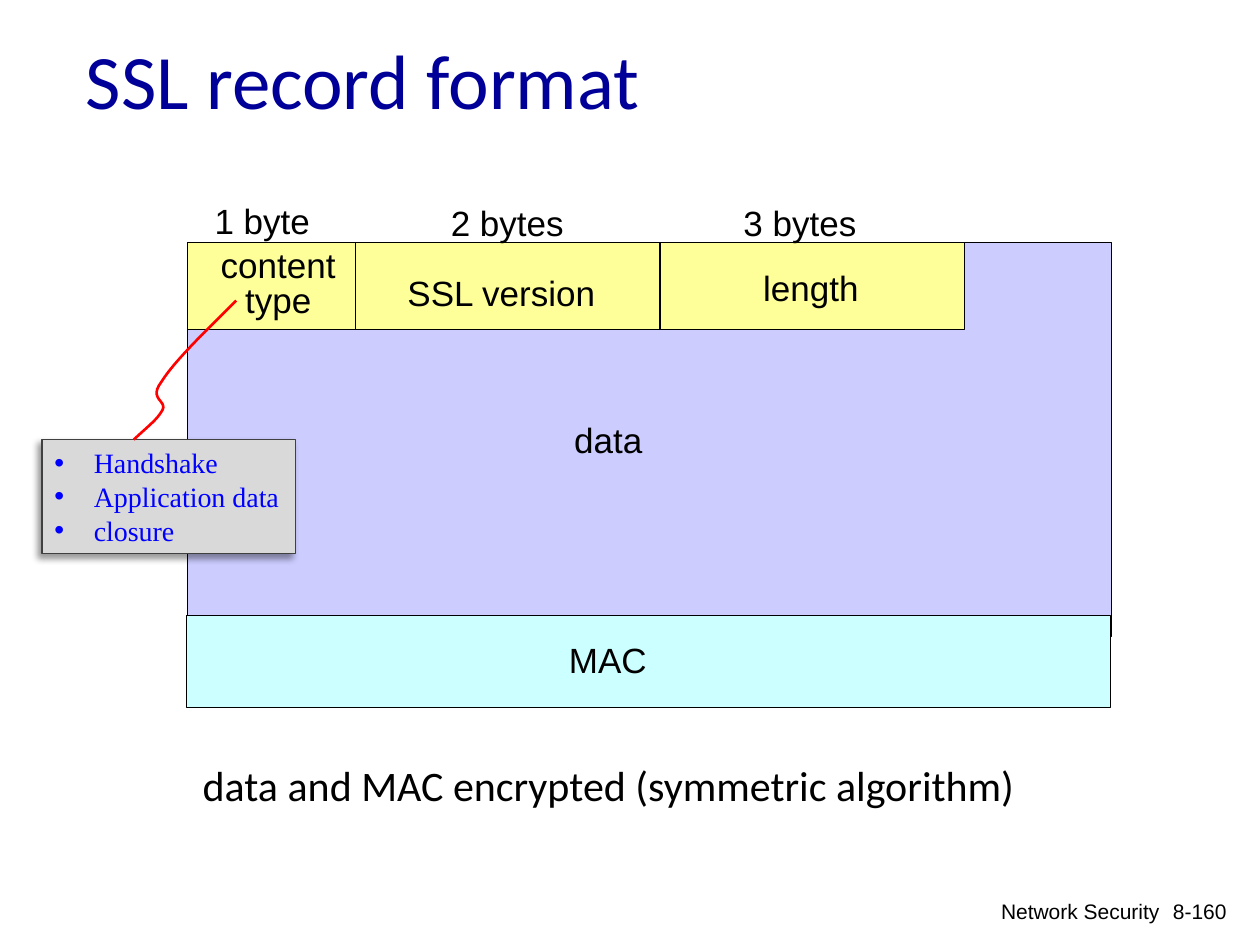
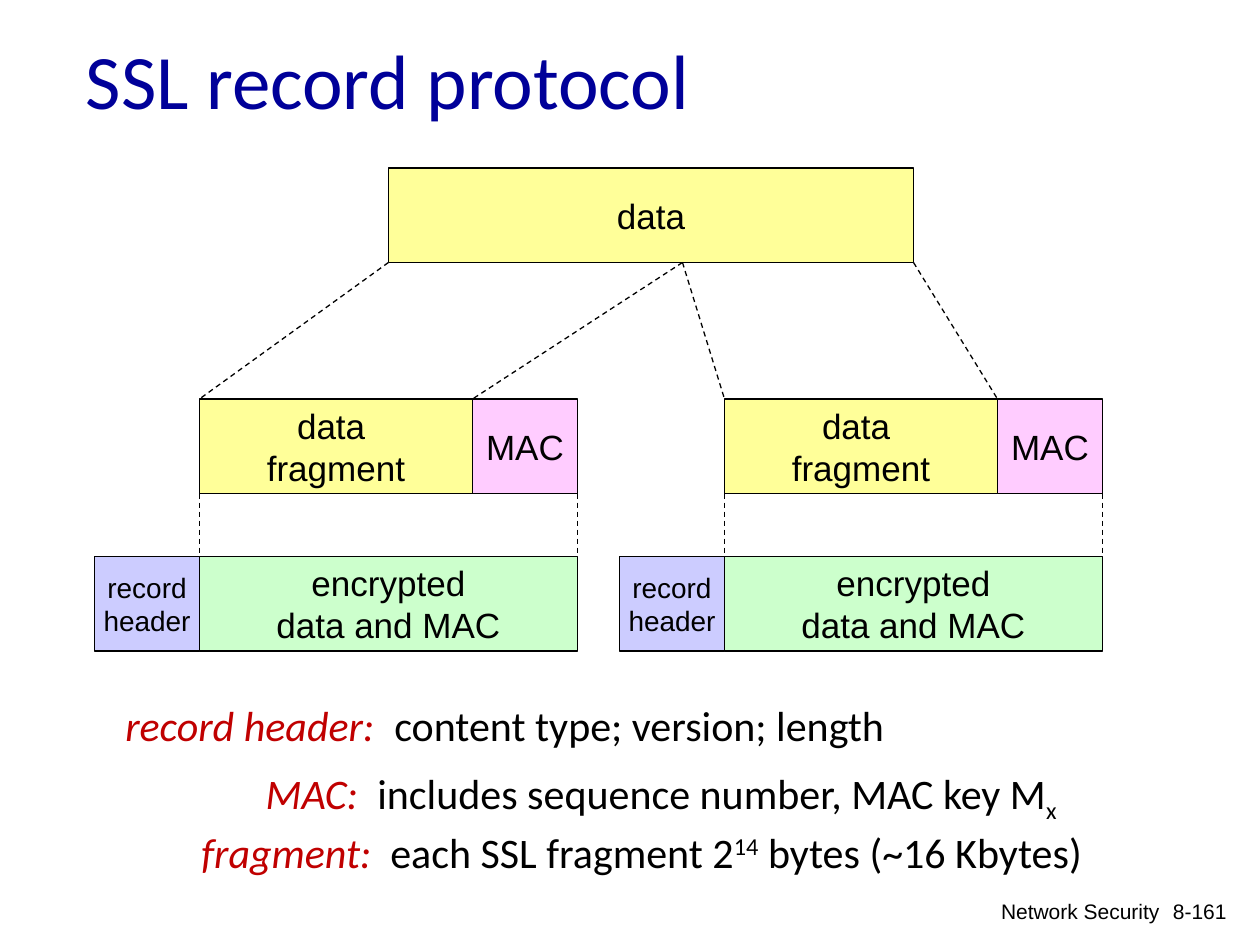
from lxml.etree import SubElement
from pptx import Presentation
from pptx.dml.color import RGBColor
from pptx.enum.dml import MSO_LINE
from pptx.enum.shapes import MSO_CONNECTOR, MSO_SHAPE
from pptx.enum.text import MSO_ANCHOR, PP_ALIGN
from pptx.oxml.ns import qn
from pptx.util import Pt

EMU_PER_PX = 9525
BLACK, TITLE_BLUE, TERM_RED = "000000", "000099", "C00000"
YELLOW, LILAC, CYAN = "FFFF99", "CCCCFF", "CCFFFF"
PINK, GREEN, GREY = "FFCCFF", "CCFFCC", "D9D9D9"
RED, LINK_BLUE, NOTE_EDGE = "FF0000", "0000FF", "404040"
SANS, BODY, SERIF = "Arial", "Calibri", "Times New Roman"


def px(value):
    return round(value * EMU_PER_PX)


def color(hex_string):
    return RGBColor.from_string(hex_string)


def add_element(parent, tag, **attributes):
    return SubElement(parent, qn(tag), {name: str(value) for name, value in attributes.items()})


def style_font(font, size, name, hex_color):
    font.size, font.name = Pt(size), name
    font.color.rgb = color(hex_color)


def write_lines(frame, lines, size, name=SANS, hex_color=BLACK, align=PP_ALIGN.LEFT,
                line_spacing=None, bullet_indent=None):
    for index, line in enumerate(lines):
        paragraph = frame.add_paragraph() if index else frame.paragraphs[0]
        paragraph.text = line
        paragraph.alignment = align
        if line_spacing:
            paragraph.line_spacing = Pt(line_spacing)
        if bullet_indent:
            properties = paragraph._p.get_or_add_pPr()
            properties.set("marL", str(px(bullet_indent)))
            properties.set("indent", str(-px(bullet_indent)))
            add_element(properties, "a:buFont", typeface=SANS)
            add_element(properties, "a:buChar", char="•")
        style_font(paragraph.font, size, name, hex_color)


def add_label(slide, box, lines, size=20, wrap=False, anchor=MSO_ANCHOR.TOP, **text_style):
    frame = slide.shapes.add_textbox(*map(px, box)).text_frame
    frame.word_wrap = wrap
    frame.vertical_anchor = anchor
    write_lines(frame, lines, size, **text_style)


def add_block(slide, box, fill, lines=(), size=20, edge=BLACK):
    """Draw an outlined rectangle with centred text."""
    shape = slide.shapes.add_shape(MSO_SHAPE.RECTANGLE, *map(px, box))
    shape.shadow.inherit = False
    shape.fill.solid()
    shape.fill.fore_color.rgb = color(fill)
    shape.line.color.rgb = color(edge)
    shape.line.width = Pt(0.75)
    frame = shape.text_frame
    frame.word_wrap = False
    frame.vertical_anchor = MSO_ANCHOR.MIDDLE
    write_lines(frame, lines, size, align=PP_ALIGN.CENTER)
    return shape


def add_dashed_line(slide, start, end):
    connector = slide.shapes.add_connector(MSO_CONNECTOR.STRAIGHT, *map(px, start + end))
    connector.line.color.rgb = color(BLACK)
    connector.line.width = Pt(0.75)
    connector.line.dash_style = MSO_LINE.DASH
    add_element(connector._element.spPr, "a:effectLst")


def add_base_slide(presentation, title, page):
    """Add a blank slide with the shared title and footer."""
    slide = presentation.slides.add_slide(presentation.slide_layouts[6])
    add_label(slide, (873, 680, 71, 32), [page], 12, align=PP_ALIGN.RIGHT)
    add_label(slide, (488, 680, 405, 32), ["Network Security"], 12, wrap=True,
              align=PP_ALIGN.RIGHT)
    add_label(slide, (56, 0, 816, 120), [title], 44, wrap=True, anchor=MSO_ANCHOR.MIDDLE,
              name=BODY, hex_color=TITLE_BLUE)
    return slide


def add_record_diagram(slide, left, top):
    width, header_height = 704, 66
    add_block(slide, (left, top, width, 300), LILAC)
    field_left = left
    for field_width in (128, 232, 232):
        add_block(slide, (field_left, top, field_width, header_height), YELLOW)
        field_left += field_width
    add_block(slide, (left - 1, top + 284, width, 70), CYAN)

    add_label(slide, (left + 15, top + 1, 108, 63), ["content", "type"],
              align=PP_ALIGN.CENTER, line_spacing=20)
    for x, y, label_width, text in (
        (158, 17, 163, "SSL version"),
        (429, 13, 93, "length"),
        (281, 297, 80, "MAC"),
        (285, 129, 72, "data"),
        (11, -38, 93, "1 byte"),
        (191, -36, 106, "2 bytes"),
        (414, -36, 106, "3 bytes"),
    ):
        add_label(slide, (left + x, top + y, label_width, 42), [text])


def add_content_type_note(slide, box):
    note = add_block(slide, box, GREY, edge=NOTE_EDGE)
    effects = note._element.spPr.find(qn("a:effectLst"))
    shadow = add_element(effects, "a:outerShdw", blurRad=Pt(4), dist=Pt(3),
                         dir=135 * 60000, algn="tr", rotWithShape=0)
    shadow_color = add_element(shadow, "a:srgbClr", val=BLACK)
    add_element(shadow_color, "a:alpha", val=40000)
    frame = note.text_frame
    frame.vertical_anchor = MSO_ANCHOR.TOP
    write_lines(frame, ["Handshake", "Application data", "closure"], 16, SERIF, LINK_BLUE,
                bullet_indent=30)


def bezier_points(start, control_1, control_2, end, steps=12):
    for step in range(1, steps + 1):
        t = step / steps
        weights = ((1 - t) ** 3, 3 * t * (1 - t) ** 2, 3 * t * t * (1 - t), t ** 3)
        corners = (start, control_1, control_2, end)
        yield tuple(px(sum(weight * corner[axis] for weight, corner in zip(weights, corners)))
                    for axis in (0, 1))


def add_curve(slide, left, top, start, segments):
    """Draw an open line through cubic segments given relative to left and top."""
    def place(point):
        return left + point[0], top + point[1]

    current = place(start)
    builder = slide.shapes.build_freeform(*map(px, current))
    for segment in segments:
        corners = [place(point) for point in segment]
        builder.add_line_segments(list(bezier_points(current, *corners)), close=False)
        current = corners[-1]
    curve = builder.convert_to_shape()
    curve.shadow.inherit = False
    curve.fill.background()
    curve.line.color.rgb = color(RED)
    curve.line.width = Pt(1.5)


def add_fragment_column(slide, left, top):
    """Draw one fragment with its MAC above the encrypted record."""
    height, header_width, fragment_width, mac_width = 72, 80, 208, 80
    body_left = left + header_width
    body_width = fragment_width + mac_width
    record_top = top + 120
    add_block(slide, (body_left, top, fragment_width, height), YELLOW, ["data ", "fragment"])
    add_block(slide, (body_left + fragment_width, top, mac_width, height), PINK, ["MAC"])
    add_block(slide, (body_left, record_top, body_width, height), GREEN,
              ["encrypted", "data and MAC"])
    add_block(slide, (left, record_top, header_width, height), LILAC, ["record", "header"], 16)
    for x in (body_left, body_left + body_width):
        add_dashed_line(slide, (x, top + height), (x, record_top))
    return body_left, body_left + fragment_width


def add_protocol_diagram(slide, left, top):
    data_left, data_width, data_height = left + 224, 400, 72
    data_right, data_bottom = data_left + data_width, top + data_height
    split = left + 448
    fragment_top = top + 176
    add_block(slide, (data_left, top, data_width, data_height), YELLOW, ["data"])
    for index, edges in enumerate(((data_left, split), (split, data_right))):
        fragment_edges = add_fragment_column(slide, left + index * 400, fragment_top)
        for upper, lower in zip(edges, fragment_edges):
            add_dashed_line(slide, (upper, data_bottom), (lower, fragment_top))


def add_definition(slide, box, tab_stop, term, pieces):
    """Write a red term, then (text, baseline percent) pieces from the tab stop on."""
    frame = slide.shapes.add_textbox(*map(px, box)).text_frame
    frame.word_wrap = True
    paragraph = frame.paragraphs[0]
    tabs = add_element(paragraph._p.get_or_add_pPr(), "a:tabLst")
    add_element(tabs, "a:tab", pos=px(tab_stop), algn="l")
    style_font(paragraph.font, 24, BODY, BLACK)
    term_run = paragraph.add_run()
    term_run.text = term + "\t"
    term_run.font.italic = True
    term_run.font.color.rgb = color(TERM_RED)
    for text, baseline in pieces:
        run = paragraph.add_run()
        run.text = text
        if baseline:
            run._r.get_or_add_rPr().set("baseline", str(baseline * 1000))


def build_format_slide(presentation):
    slide = add_base_slide(presentation, "SSL record format", "8-160")
    add_record_diagram(slide, 143, 185)
    add_label(slide, (145, 574, 648, 49), ["data and MAC encrypted (symmetric algorithm)"],
              24, name=BODY)
    add_content_type_note(slide, (32, 335, 193, 87))
    add_curve(slide, 102, 229, (78, 0), (
        ((54, 24), (30, 47), (21, 62)),
        ((11, 75), (25, 76), (22, 83)),
        ((18, 91), (8, 98), (0, 106)),
    ))


def build_protocol_slide(presentation):
    slide = add_base_slide(presentation, "SSL record protocol", "8-161")
    add_protocol_diagram(slide, 72, 128)
    add_definition(slide, (86, 528, 640, 49), 205, "record header:",
                   [("content type; version; length", 0)])
    add_definition(slide, (193, 580, 660, 49), 85, "MAC:",
                   [("includes sequence number, MAC key M", 0), ("x", -25)])
    add_definition(slide, (144, 625, 720, 49), 144, "fragment:",
                   [("each SSL fragment 2", 0), ("14", 30), (" bytes (~16 Kbytes)", 0)])


def main():
    presentation = Presentation()
    presentation.slide_width, presentation.slide_height = px(960), px(720)
    build_format_slide(presentation)
    build_protocol_slide(presentation)
    presentation.save("out.pptx")


if __name__ == "__main__":
    main()
